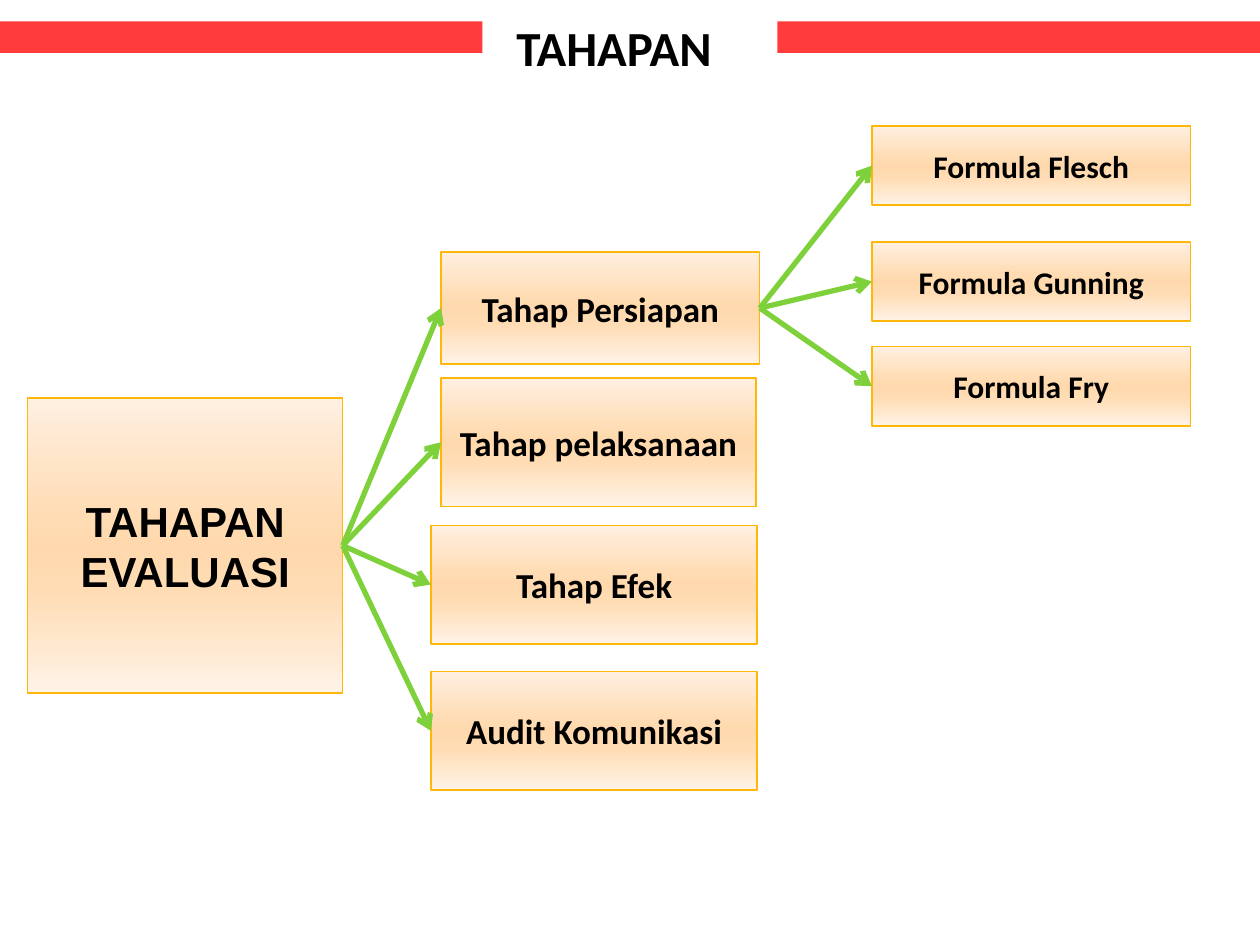
from lxml.etree import SubElement
from pptx import Presentation
from pptx.dml.color import RGBColor
from pptx.enum.shapes import MSO_CONNECTOR as Connector, MSO_SHAPE as Shape
from pptx.enum.text import MSO_ANCHOR as Anchor, PP_ALIGN as Align
from pptx.oxml.ns import qn
from pptx.util import Inches, Pt

GLOW = [(0, "FFF0E1"), (40, "FFDCB4"), (50, "FFD9AD"), (65, "FFDCB4"), (100, "FFF3E7")]
LEFT_SIDE, RIGHT_SIDE = 1, 3


def paint(color, hex_code):
    color.rgb = RGBColor.from_string(hex_code)


def style_text(paragraph, size, font="Calibri"):
    paragraph.font.name = font
    paragraph.font.size = Pt(size)
    paragraph.font.bold = True
    paint(paragraph.font.color, "000000")


def add_rect(slide, box):
    rect = slide.shapes.add_shape(Shape.RECTANGLE, *map(Inches, box))
    rect.shadow.inherit = False
    return rect


def fill_glow(node):
    node.fill.gradient()
    node.fill.gradient_angle = 270
    stops = node._element.spPr.find(".//" + qn("a:gsLst"))
    for stop in list(stops):
        stops.remove(stop)
    for percent, hex_code in GLOW:
        stop = SubElement(stops, qn("a:gs"), pos=str(percent * 1000))
        SubElement(stop, qn("a:srgbClr"), val=hex_code)


def add_node(slide, box, label, size, font="Calibri"):
    node = add_rect(slide, box)
    fill_glow(node)
    paint(node.line.color, "FEB80A")
    node.line.width = Pt(0.94)
    frame = node.text_frame
    frame.word_wrap = True
    frame.vertical_anchor = Anchor.MIDDLE
    frame.text = label
    frame.paragraphs[0].alignment = Align.CENTER
    style_text(frame.paragraphs[0], size, font)
    return node


def add_arrow(slide, parent, child):
    arrow = slide.shapes.add_connector(Connector.STRAIGHT, 0, 0, 0, 0)
    arrow.begin_connect(parent, RIGHT_SIDE)
    arrow.end_connect(child, LEFT_SIDE)
    paint(arrow.line.color, "7FD13B")
    arrow.line.width = Pt(3)
    SubElement(arrow.line._get_or_add_ln(), qn("a:tailEnd"), type="arrow")
    SubElement(arrow._element.spPr, qn("a:effectLst"))


def add_branch(slide, parent, left, top, size, children):
    nodes = []
    for label, (dx, dy, width, height) in children:
        node = add_node(slide, (left + dx, top + dy, width, height), label, size)
        add_arrow(slide, parent, node)
        nodes.append(node)
    return nodes


def add_header(slide, left, top, width, height):
    bar_width = 3.83
    title = slide.shapes.add_textbox(*map(Inches, (left + 4, top - 0.08, 1.94, 0.57)))
    title.text_frame.word_wrap = False
    title.text_frame.text = "TAHAPAN"
    style_text(title.text_frame.paragraphs[0], 28)
    for bar_left in (left, left + width - bar_width):
        bar = add_rect(slide, (bar_left, top, bar_width, height))
        bar.fill.solid()
        paint(bar.fill.fore_color, "FF3B3B")
        bar.line.fill.background()


def add_stage_tree(slide, left, top):
    evaluation = add_node(slide, (left, top + 2.16, 2.5, 2.34), "TAHAPAN EVALUASI", 24, "Arial")
    stages = add_branch(slide, evaluation, left + 3.2, top + 1, 20, [
        ("Tahap Persiapan", (0.08, 0, 2.53, 0.89)),
        ("Tahap pelaksanaan", (0.08, 1, 2.5, 1.02)),
        ("Tahap Efek", (0, 2.17, 2.59, 0.94)),
        ("Audit Komunikasi", (0, 3.33, 2.59, 0.94)),
    ])
    formulas = [("Formula Flesch", 0), ("Formula Gunning", 0.92), ("Formula Fry", 1.75)]
    add_branch(slide, stages[0], left + 6.7, top, 18,
               [(label, (0, dy, 2.53, 0.63)) for label, dy in formulas])


deck = Presentation()
deck.slide_width, deck.slide_height = Inches(10), Inches(7.5)
stages_slide = deck.slides.add_slide(deck.slide_layouts[6])
add_header(stages_slide, 0, 0.17, 10, 0.25)
add_stage_tree(stages_slide, 0.22, 1)
deck.save("out.pptx")
